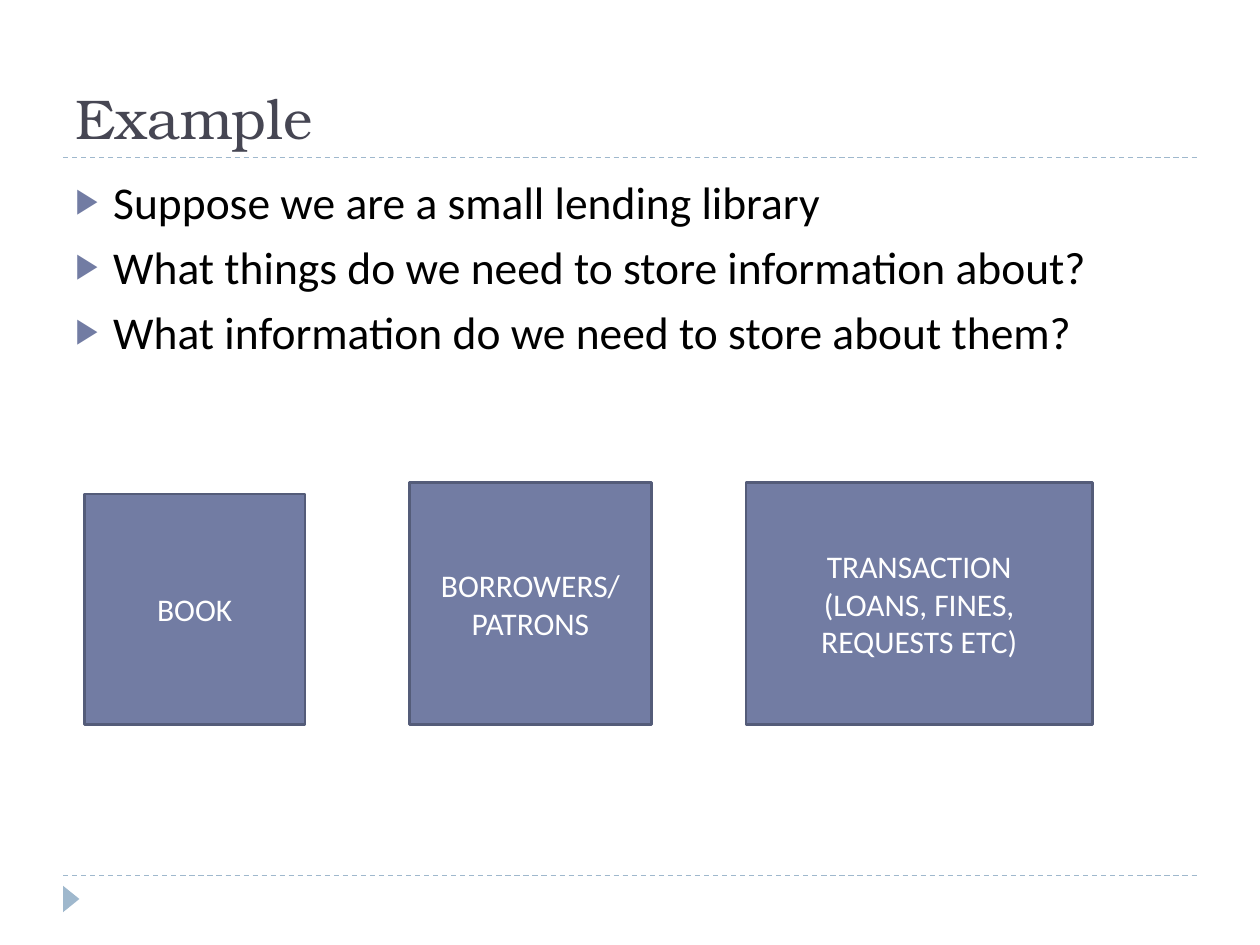
from dataclasses import dataclass

from lxml import etree
from pptx import Presentation
from pptx.dml.color import RGBColor
from pptx.enum import dml, shapes, text
from pptx.oxml.ns import qn
from pptx.util import Inches, Pt


@dataclass(frozen=True)
class Theme:
    title_font: str = "TeX Gyre Bonum"
    body_font: str = "Calibri"
    title_size: int = 32
    body_size: int = 26
    box_size: int = 18
    title: str = "464653"
    body: str = "000000"
    accent: str = "727CA3"
    box_line: str = "545C79"
    box_text: str = "FFFFFF"
    rule: str = "9FB8CD"


theme = Theme()


def format_text(frame, font, size, color, align):
    for paragraph in frame.paragraphs:
        paragraph.alignment = align
        for run in paragraph.runs:
            run.font.name = font
            run.font.size = Pt(size)
            run.font.color.rgb = RGBColor.from_string(color)


def add_bullet(paragraph):
    """Hang a coloured triangle bullet in front of the paragraph."""
    props = paragraph._p.get_or_add_pPr()
    props.set("marL", str(Inches(0.3)))
    props.set("indent", str(-Inches(0.3)))
    color = etree.SubElement(props, qn("a:buClr"))
    etree.SubElement(color, qn("a:srgbClr"), val=theme.accent)
    etree.SubElement(props, qn("a:buSzPct"), val="76000")
    etree.SubElement(props, qn("a:buFont"), typeface=theme.body_font)
    etree.SubElement(props, qn("a:buChar"), char="▶")


deck = Presentation()
deck.slide_width, deck.slide_height = Inches(10), Inches(7.5)
slide = deck.slides.add_slide(deck.slide_layouts[5])

# Dashed rules and the corner marker
for y in (6.95, 1.25):
    rule = slide.shapes.add_connector(
        shapes.MSO_CONNECTOR.STRAIGHT, Inches(0.5), Inches(y), Inches(9.5), Inches(y))
    rule.line.color.rgb = RGBColor.from_string(theme.rule)
    rule.line.width = Pt(0.75)
    rule.line.dash_style = dml.MSO_LINE.DASH
    etree.SubElement(rule._element.spPr, qn("a:effectLst"))

marker = slide.shapes.add_shape(
    shapes.MSO_SHAPE.ISOSCELES_TRIANGLE, Inches(0.46), Inches(7.07), Inches(0.21), Inches(0.13))
marker.rotation = 90
marker.shadow.inherit = False
marker.fill.solid()
marker.fill.fore_color.rgb = RGBColor.from_string(theme.rule)
marker.line.fill.background()

# Title
title = slide.shapes.title
title.left, title.top = Inches(0.5), Inches(0.17)
title.width, title.height = Inches(9), Inches(1.08)
title.text_frame.text = "Example"
title.text_frame.vertical_anchor = text.MSO_ANCHOR.BOTTOM
format_text(title.text_frame, theme.title_font, theme.title_size, theme.title, text.PP_ALIGN.LEFT)

# Questions
questions = slide.shapes.add_textbox(
    Inches(0.5), Inches(1.33), Inches(9), Inches(5.4)).text_frame
questions.word_wrap = True
questions.text = "\n".join([
    "Suppose we are a small lending library",
    "What things do we need to store information about?",
    "What information do we need to store about them?",
])
format_text(questions, theme.body_font, theme.body_size, theme.body, text.PP_ALIGN.LEFT)
for question in questions.paragraphs:
    question.space_before = Pt(6)
    add_bullet(question)

# Entities, standing on a common baseline
baseline = 5.75
entities = [
    ("BOOK", 0.67, 1.75, 1.83),
    ("BORROWERS/\nPATRONS", 3.25, 1.92, 1.92),
    ("TRANSACTION\n(LOANS, FINES, REQUESTS ETC)", 5.92, 2.75, 1.92),
]
for label, left, width, height in entities:
    entity = slide.shapes.add_shape(
        shapes.MSO_SHAPE.RECTANGLE,
        Inches(left), Inches(baseline - height), Inches(width), Inches(height))
    entity.shadow.inherit = False
    entity.fill.solid()
    entity.fill.fore_color.rgb = RGBColor.from_string(theme.accent)
    entity.line.color.rgb = RGBColor.from_string(theme.box_line)
    entity.line.width = Pt(1.5)
    entity.text_frame.text = label
    entity.text_frame.word_wrap = True
    entity.text_frame.vertical_anchor = text.MSO_ANCHOR.MIDDLE
    format_text(entity.text_frame, theme.body_font, theme.box_size, theme.box_text,
                text.PP_ALIGN.CENTER)

deck.save("out.pptx")
